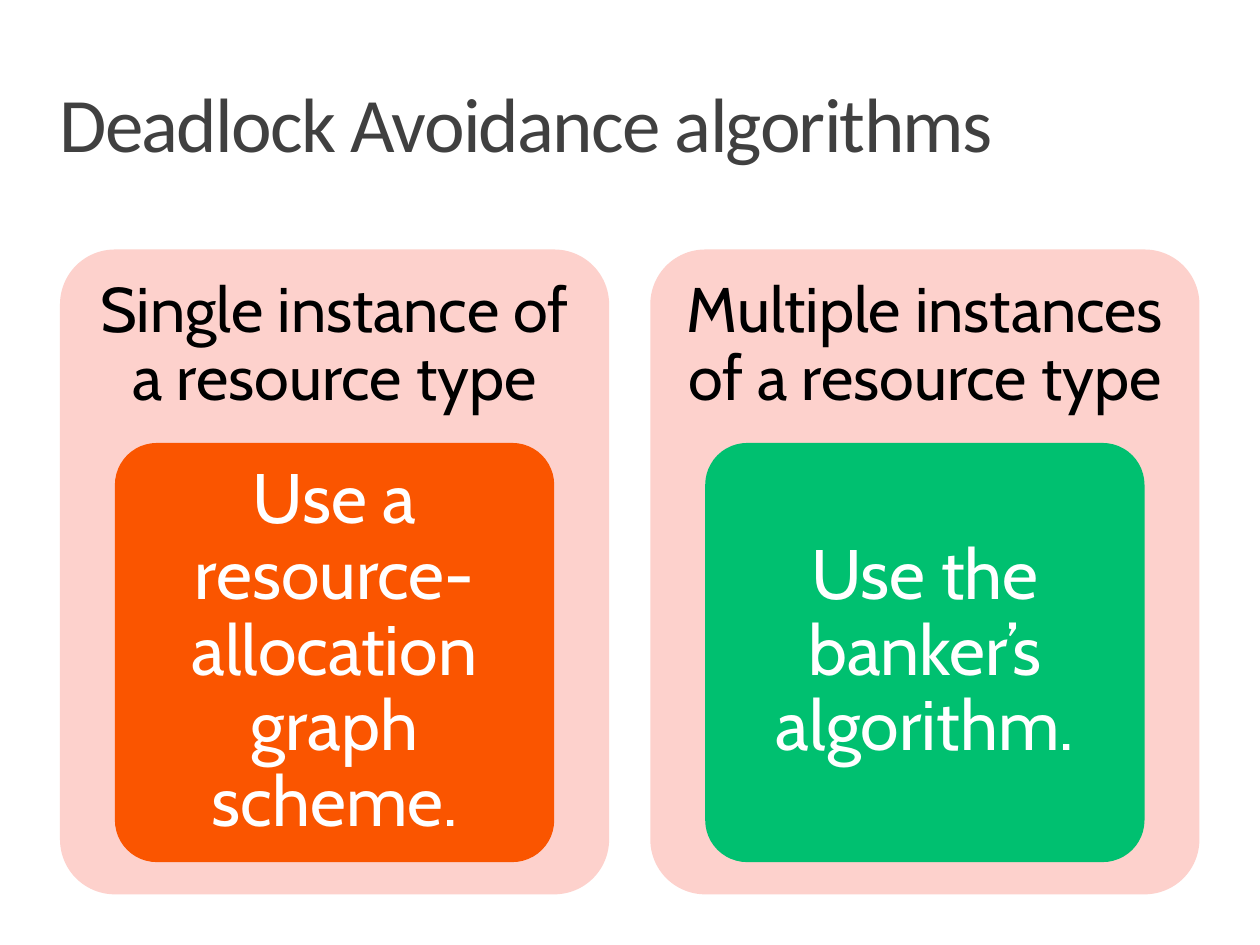
from pptx import Presentation
from pptx.dml.color import RGBColor
from pptx.enum.shapes import MSO_SHAPE
from pptx.enum.text import MSO_ANCHOR, PP_ALIGN
from pptx.util import Cm, Pt

ROUNDED = MSO_SHAPE.ROUNDED_RECTANGLE
TOP, MIDDLE = MSO_ANCHOR.TOP, MSO_ANCHOR.MIDDLE
LEFT, CENTER = PP_ALIGN.LEFT, PP_ALIGN.CENTER

TITLE = "Deadlock Avoidance algorithms"
CASES = [
    ("Single instance of a resource type", "Use a resource-allocation graph scheme.", "FA5500"),
    ("Multiple instances of a resource type", "Use the banker’s algorithm.", "00C070"),
]

PANEL_LEFT, PANEL_TOP = 1.21, 5.03
PANEL_WIDTH, PANEL_HEIGHT = 11.07, 13
PANEL_GAP = 0.83
CONDITION_HEIGHT = 0.3 * PANEL_HEIGHT
METHOD_INDENT = 0.1 * PANEL_WIDTH
METHOD_WIDTH = 0.8 * PANEL_WIDTH
METHOD_HEIGHT = 0.65 * PANEL_HEIGHT


def rgb(value):
    return RGBColor.from_string(value)


def add_rounded(slide, box, color):
    shape = slide.shapes.add_shape(ROUNDED, *map(Cm, box))
    shape.adjustments[0] = 0.1
    shape.shadow.inherit = False
    shape.fill.solid()
    shape.fill.fore_color.rgb = rgb(color)
    shape.line.fill.background()
    return shape


def write(shape, text, font, size, color, margins, spacing, align=CENTER, anchor=MIDDLE):
    frame = shape.text_frame
    frame.word_wrap = True
    frame.vertical_anchor = anchor
    frame.margin_left, frame.margin_top, frame.margin_right, frame.margin_bottom = map(Cm, margins)
    paragraph = frame.paragraphs[0]
    paragraph.text = text
    paragraph.alignment = align
    paragraph.line_spacing = spacing
    paragraph.font.name = font
    paragraph.font.size = Pt(size)
    paragraph.font.color.rgb = rgb(color)
    return paragraph


def main():
    deck = Presentation()
    deck.slide_width, deck.slide_height = Cm(25.4), Cm(19.05)
    slide = deck.slides.add_slide(deck.slide_layouts[6])

    title = slide.shapes.add_textbox(Cm(1.2), Cm(1.78), Cm(23), Cm(3.25))
    heading = write(title, TITLE, "Calibri", 44, "404040", (0, 0.1, 0, 0), 0.8, LEFT, TOP)
    heading.runs[0]._r.get_or_add_rPr().set("spc", "-100")

    for column, (condition, method, color) in enumerate(CASES):
        left = PANEL_LEFT + column * (PANEL_WIDTH + PANEL_GAP)
        add_rounded(slide, (left, PANEL_TOP, PANEL_WIDTH, PANEL_HEIGHT), "FDD1CC")

        condition_box = (left, PANEL_TOP, PANEL_WIDTH, CONDITION_HEIGHT)
        label = slide.shapes.add_textbox(*map(Cm, condition_box))
        write(label, condition, "Cabin", 36, "000000", (0.38,) * 4, 0.9)

        method_box = (left + METHOD_INDENT, PANEL_TOP + CONDITION_HEIGHT, METHOD_WIDTH, METHOD_HEIGHT)
        card = add_rounded(slide, method_box, color)
        write(card, method, "Cabin", 40, "FFFFFF", (0.28, 0.2, 0.28, 0.2), 0.9)

    deck.save("out.pptx")


if __name__ == "__main__":
    main()
